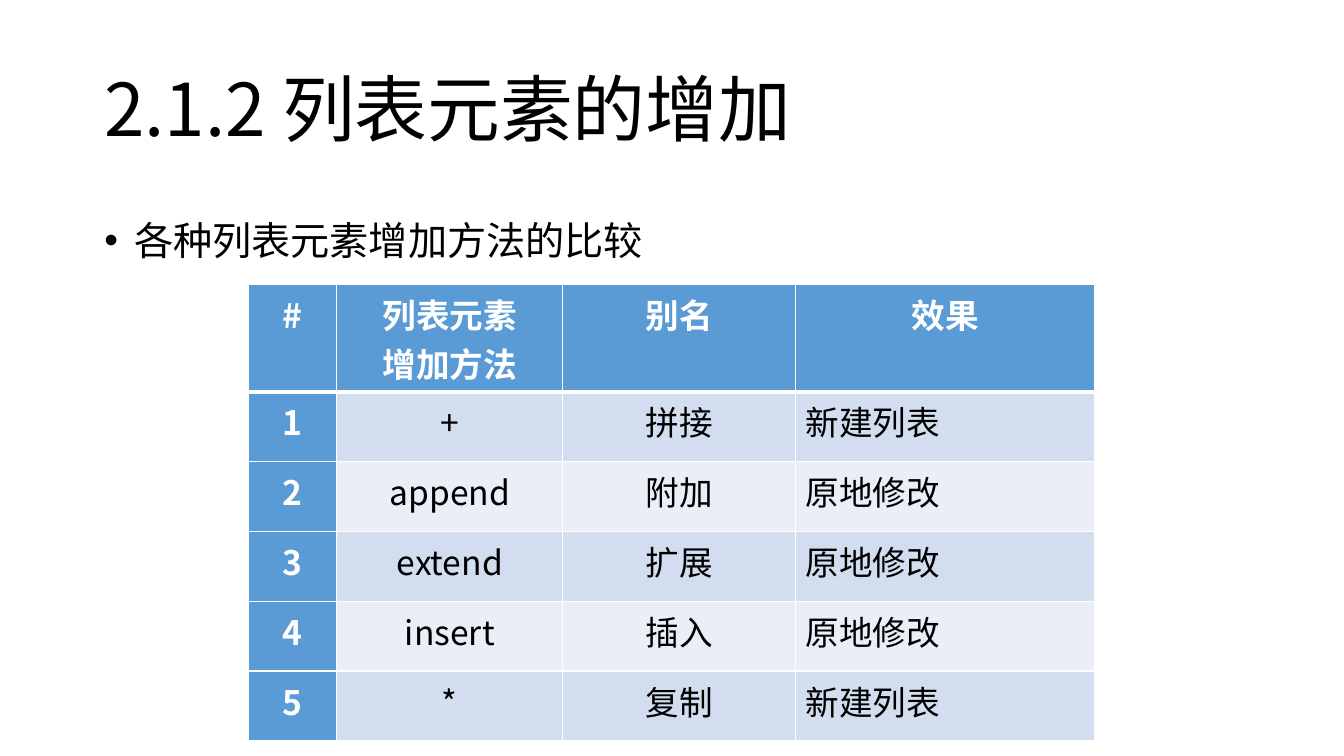
"""Build a slide comparing the ways of adding elements to a Python list."""
from lxml import etree
from pptx import Presentation
from pptx.dml.color import RGBColor
from pptx.enum.text import MSO_ANCHOR, PP_ALIGN
from pptx.oxml.ns import qn
from pptx.util import Cm, Pt

MIDDLE, TOP = MSO_ANCHOR.MIDDLE, MSO_ANCHOR.TOP
LEFT, CENTER = PP_ALIGN.LEFT, PP_ALIGN.CENTER
BLACK, WHITE, BLUE = "000000", "FFFFFF", "5B9BD5"
BANDS = ("D2DEEF", "EAEFF7")
METHODS = [
    ("#", "列表元素\n增加方法", "别名", "效果"),
    ("1", "+", "拼接", "新建列表"),
    ("2", "append", "附加", "原地修改"),
    ("3", "extend", "扩展", "原地修改"),
    ("4", "insert", "插入", "原地修改"),
    ("5", "*", "复制", "新建列表"),
]


def color(value):
    return RGBColor.from_string(value)


class SlideBuilder:
    """Hold the text style and the slide being filled."""

    def __init__(self, slide, font):
        self.slide, self.font = slide, font

    def style(self, paragraph, size, ink=BLACK, bold=False, **formats):
        for name, value in formats.items():
            setattr(paragraph, name, value)
        for run in paragraph.runs:
            for name, value in {"name": self.font, "size": Pt(size), "bold": bold}.items():
                setattr(run.font, name, value)
            run.font.color.rgb = color(ink)
            east_asian = etree.SubElement(run.font._element, qn("a:ea"))
            east_asian.set("typeface", self.font)

    def text(self, box, words, size, anchor, **formats):
        frame = self.slide.shapes.add_textbox(*map(Cm, box)).text_frame
        insets = {"margin_left": 0.3, "margin_right": 0.3, "margin_top": 0.15, "margin_bottom": 0.15}
        for name, value in insets.items():
            setattr(frame, name, Cm(value))
        frame.word_wrap = True
        frame.vertical_anchor = anchor
        paragraph = frame.paragraphs[0]
        paragraph.add_run().text = words
        self.style(paragraph, size, **formats)
        return paragraph

    def bullet(self, paragraph, indent):
        properties = paragraph._p.get_or_add_pPr()
        properties.set("marL", str(Cm(indent)))
        properties.set("indent", str(-Cm(indent)))
        etree.SubElement(properties, qn("a:buFont")).set("typeface", "Arial")
        etree.SubElement(properties, qn("a:buChar")).set("char", "•")

    def borders(self, cell, widths):
        properties = cell._tc.get_or_add_tcPr()
        for side, width in widths.items():
            line = etree.SubElement(properties, qn(f"a:ln{side}"), w=str(Pt(width)))
            fill = etree.SubElement(line, qn("a:solidFill"))
            etree.SubElement(fill, qn("a:srgbClr"), val=WHITE)

    def table(self, box, rows, widths, heights):
        grid = self.slide.shapes.add_table(len(rows), len(widths), *map(Cm, box)).table
        for column, width in zip(grid.columns, widths):
            column.width = Cm(width)
        for r, (row, height) in enumerate(zip(rows, heights)):
            grid.rows[r].height = Cm(height)
            for c, words in enumerate(row):
                cell = grid.cell(r, c)
                heading = r == 0 or c == 0
                self.borders(cell, {"L": 1, "R": 1, "T": 3 if r == 1 else 1, "B": 3 if r == 0 else 1})
                cell.fill.solid()
                cell.fill.fore_color.rgb = color(BLUE if heading else BANDS[(r - 1) % 2])
                cell.text = words
                for paragraph in cell.text_frame.paragraphs:
                    self.style(paragraph, 24, WHITE if heading else BLACK, heading,
                               alignment=LEFT if r and c == 3 else CENTER)


def main():
    deck = Presentation()
    deck.slide_width, deck.slide_height = Cm(33.87), Cm(19.05)
    builder = SlideBuilder(deck.slides.add_slide(deck.slide_layouts[6]), "Noto Sans CJK SC")
    builder.text((2.33, 1.01, 29.21, 3.68), "2.1.2 列表元素的增加", 52, MIDDLE, line_spacing=0.9)
    topic = builder.text((2.33, 5.07, 29.21, 12.09), "各种列表元素增加方法的比较", 28, TOP,
                         line_spacing=1.2, space_before=Pt(11.9))
    builder.bullet(topic, 0.75)
    builder.table((6.26, 7.17, 21.32, 11.5), METHODS, (2.23, 5.69, 5.87, 7.53),
                  [2.7] + [1.76] * 5)
    deck.save("out.pptx")


if __name__ == "__main__":
    main()
